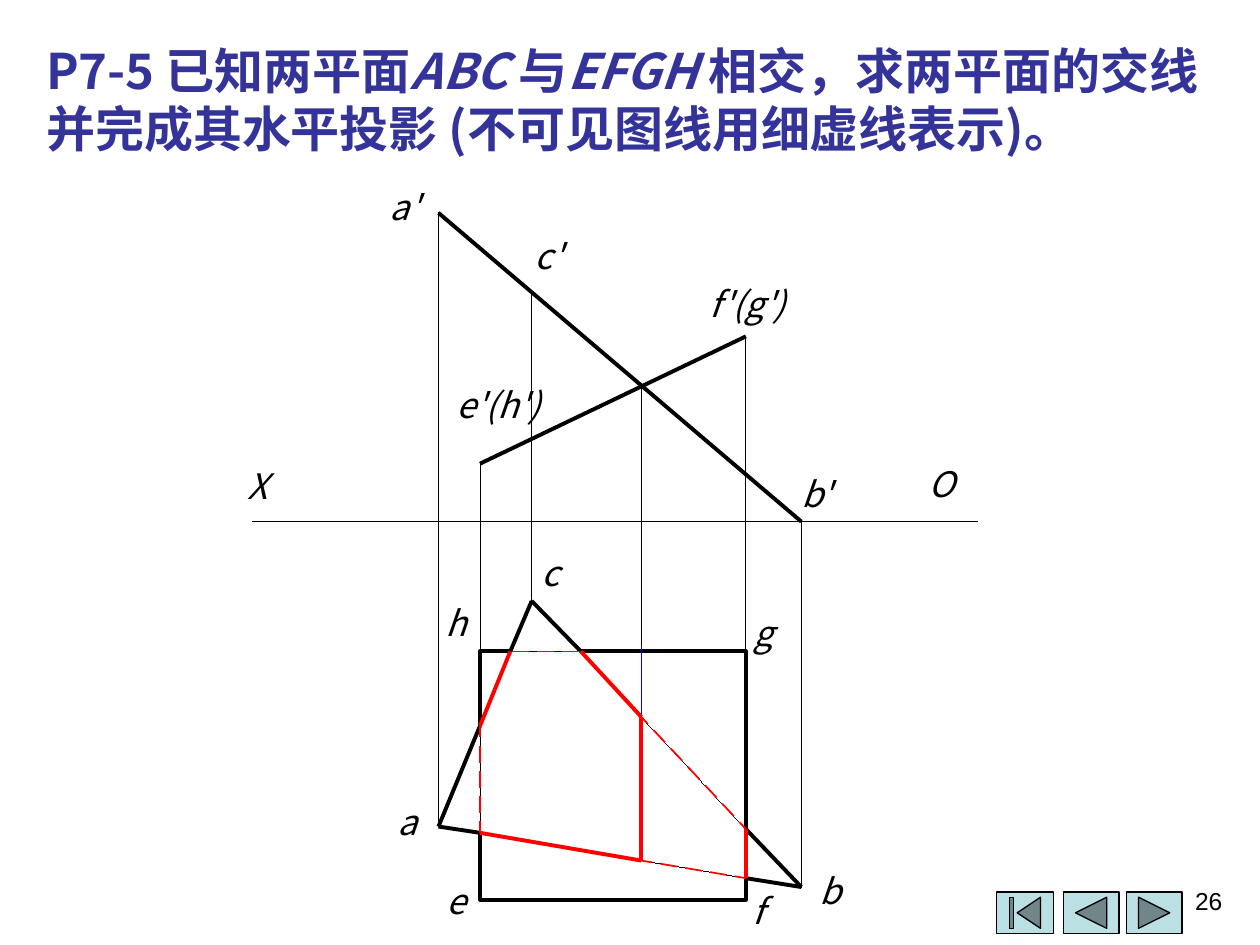
"""Build the slide on two intersecting planes and their projections."""
from math import ceil, dist
from pptx import Presentation
from pptx.dml.color import RGBColor
from pptx.enum.shapes import MSO_CONNECTOR as Link, MSO_SHAPE as Kind
from pptx.enum.text import PP_ALIGN as Align
from pptx.oxml.ns import qn
from pptx.util import Inches, Pt
from lxml.etree import SubElement

COLS, ROWS = 1000, 750
CELL = Inches(10) // COLS
BLACK = RGBColor(0, 0, 0)
RED = RGBColor(0xFF, 0, 0)
BLUE = RGBColor(0, 0, 0xFF)
NAVY = RGBColor(0x33, 0x33, 0x99)
TEAL = RGBColor(0xBB, 0xE0, 0xE3)
SANS = "Noto Sans CJK SC"
THICK, THIN, HAIR = 2.25, 1, 0.01
DASH, STEP = 13.5, 20

LEFT, MID, RIGHT, AXIS = 381, 509, 592, 414
SPOTS = {
    "A": (348, 169), "B": (636, AXIS), "C": (422, 232),
    "E": (LEFT, 368), "F": (RIGHT, 267), "K": (MID, 306), "k": (MID, 512),
    "a": (348, 656), "b": (636, 704), "c": (422, 477),
    "e": (LEFT, 714), "f": (RIGHT, 714), "g": (RIGHT, 517), "h": (LEFT, 517),
    "m": (MID, 683), "n": (MID, 569), "p": (LEFT, 576), "q": (405, 517),
    "r": (461, 517), "s": (RIGHT, 658), "t": (RIGHT, 697), "u": (LEFT, 661),
}
HIDDEN = ["ns", "tm", "qr", "pu"]
LINES = [
    (["Aa", "Bb", "Cc", "Eh", "Fg", "Kk"] + HIDDEN, BLACK, HAIR),
    (["AB", "EF", "ap", "au", "cq", "cr", "sb", "tb"], BLACK, THICK),
    (["kn"], BLUE, HAIR),
    (["nm", "st", "mu", "pq", "rn"], RED, THICK),
]
EDGES = ["qhp", "ueft", "sgr"]
LABELS = [
    ("X", 196, 369, 17), ("O", 736, 367, 23), ("a'", 304, 147, 34),
    ("c'", 418, 186, 34), ("b'", 631, 375, 34), ("c", 428, 438, 17),
    ("e'(h')", 345, 304, 101), ("f'(g')", 543, 224, 101),
    ("e", 350, 698, 24), ("f", 593, 706, 17), ("b", 642, 690, 34),
    ("a", 311, 635, 24), ("g", 594, 485, 24), ("h", 350, 477, 24),
]
TITLE = [
    ("P7-5 已知两平面", False), ("ABC ", True), ("与", False), ("EFGH ", True),
    ("相交，求两平面的交线并完成其水平投影 (不可见图线用细虚线表示)。", False),
]
BUTTONS = [
    (Kind.ACTION_BUTTON_BEGINNING, 791, 45),
    (Kind.ACTION_BUTTON_BACK_OR_PREVIOUS, 844, 44),
    (Kind.ACTION_BUTTON_FORWARD_OR_NEXT, 894, 44),
]


def cells(*spans):
    """Turn grid counts into lengths."""
    return [round(span * CELL) for span in spans]


def style(run, size, color=BLACK, face=SANS, bold=False, slant=False):
    """Format a run, with the same face for East Asian text."""
    font = run.font
    font.size, font.name, font.bold, font.italic = Pt(size), face, bold, slant
    font.color.rgb = color
    SubElement(font._element, qn("a:ea")).set("typeface", face)


def text_box(slide, spot, pads, wrap=True):
    """Add a text box and return its frame."""
    frame = slide.shapes.add_textbox(*cells(*spot)).text_frame
    frame.word_wrap = wrap
    (frame.margin_left, frame.margin_top,
     frame.margin_right, frame.margin_bottom) = cells(*pads)
    return frame


def draw_title(slide):
    """Write the task with slanted plane names."""
    para = text_box(slide, (27, 27, 953, 104), (10, 6, 10, 4)).paragraphs[0]
    para.line_spacing = Pt(33)
    for words, slant in TITLE:
        run = para.add_run()
        run.text = words
        style(run, 28, NAVY, bold=True, slant=slant)


def draw_label(slide, words, left, top, wide):
    """Name one point of the drawing."""
    para = text_box(slide, (left, top, wide, 33), (0,) * 4, False).paragraphs[0]
    para.text, para.alignment, para.line_spacing = words, Align.CENTER, Pt(24)
    style(para.runs[0], 20, slant=True)


def draw_line(slide, start, end, color, width):
    """Draw a straight line between two grid points."""
    link = slide.shapes.add_connector(Link.STRAIGHT, *cells(*start, *end))
    link.line.color.rgb, link.line.width = color, Pt(width)
    SubElement(link._element.spPr, qn("a:effectLst"))


def draw_dashes(slide, start, end):
    """Draw red dashes spaced evenly about the middle of a line."""
    span = dist(start, end)
    side = ceil((span + DASH) / 2 / STEP) - 1

    def along(reach):
        share = min(max(reach / span, 0), 1)
        return [a + (b - a) * share for a, b in zip(start, end)]

    for turn in range(-side, side + 1):
        core = span / 2 + turn * STEP
        draw_line(slide, along(core - DASH / 2), along(core + DASH / 2), RED, THIN)


def draw_edge(slide, names):
    """Draw an open outline through named points."""
    first, *rest = [SPOTS[name] for name in names]
    pen = slide.shapes.build_freeform(*first, scale=CELL)
    pen.add_line_segments(rest, close=False)
    shape = pen.convert_to_shape()
    shape.shadow.inherit = False
    shape.fill.background()
    shape.line.color.rgb, shape.line.width = BLACK, Pt(THICK)


def draw_button(slide, kind, left, wide):
    """Add one navigation button."""
    shape = slide.shapes.add_shape(kind, *cells(left, 708, wide, 33))
    shape.shadow.inherit = False
    shape.fill.solid()
    shape.fill.fore_color.rgb = TEAL
    shape.line.color.rgb, shape.line.width = BLACK, Pt(0.75)


def draw_number(slide):
    """Write the slide number."""
    para = text_box(slide, (747, 698, 233, 52), (10, 5, 10, 5)).paragraphs[0]
    para.text, para.alignment = "26", Align.RIGHT
    style(para.runs[0], 14, face="Arial")


def main():
    """Build and save the slide."""
    deck = Presentation()
    deck.slide_width, deck.slide_height = cells(COLS, ROWS)
    slide = deck.slides.add_slide(deck.slide_layouts[6])
    for button in BUTTONS:
        draw_button(slide, *button)
    draw_title(slide)
    draw_line(slide, (200, AXIS), (776, AXIS), BLACK, HAIR)
    for names in EDGES:
        draw_edge(slide, names)
    for pairs, *look in LINES:
        for start, end in pairs:
            draw_line(slide, SPOTS[start], SPOTS[end], *look)
    for start, end in HIDDEN:
        draw_dashes(slide, SPOTS[start], SPOTS[end])
    for label in LABELS:
        draw_label(slide, *label)
    draw_number(slide)
    deck.save("out.pptx")


if __name__ == "__main__":
    main()
